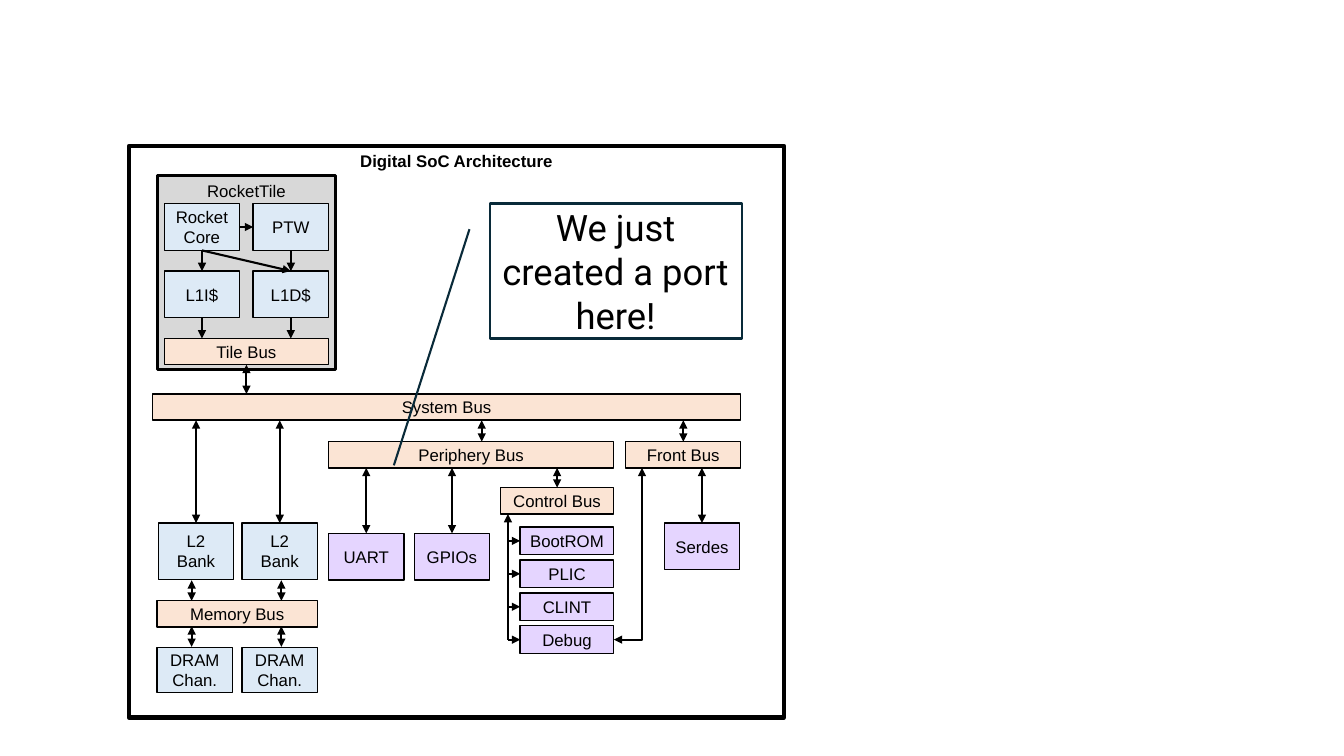
from dataclasses import dataclass

from lxml import etree
from pptx import Presentation
from pptx import util as u
from pptx.dml.color import RGBColor
from pptx.enum import shapes, text
from pptx.oxml.ns import qn


@dataclass(frozen=True)
class Theme:
    ink: str = "000000"
    navy: str = "092A39"
    grey: str = "D8D8D8"
    blue: str = "DDEAF6"
    peach: str = "FBE4D4"
    lilac: str = "E5D5FF"
    font: str = "Arial"
    note: str = "Roboto"
    small: int = 12
    large: int = 26


T = Theme()
MID, TOP = text.MSO_ANCHOR.MIDDLE, text.MSO_ANCHOR.TOP
RECT = shapes.MSO_SHAPE.RECTANGLE

deck = Presentation()
deck.slide_width, deck.slide_height = u.Cm(33.87), u.Cm(19.05)
slide = deck.slides.add_slide(deck.slide_layouts[6])


def block(words, x, y, w, h, fill=None, edge=1, ink=T.ink, kind=RECT,
          anchor=MID, font=T.font, size=T.small, bold=False):
    """Add a bordered shape with one centred paragraph per line of words."""
    box = slide.shapes.add_shape(kind, u.Cm(x), u.Cm(y), u.Cm(w), u.Cm(h))
    box.shadow.inherit = False
    if fill:
        box.fill.solid()
        box.fill.fore_color.rgb = RGBColor.from_string(fill)
    else:
        box.fill.background()
    box.line.color.rgb = RGBColor.from_string(ink)
    box.line.width = u.Pt(edge)
    frame = box.text_frame
    frame.word_wrap = True
    frame.vertical_anchor = anchor
    for i, line in enumerate(words.split("\n")):
        para = frame.add_paragraph() if i else frame.paragraphs[0]
        para.alignment = text.PP_ALIGN.CENTER
        run = para.add_run()
        run.text = line
        run.font.name, run.font.size, run.font.bold = font, u.Pt(size), bold
        run.font.color.rgb = RGBColor.from_string(T.ink)
    return box


def link(start, end, heads="tail", kind=shapes.MSO_CONNECTOR.STRAIGHT):
    """Join two ends, each an (x, y) point or a (shape, side) pair."""
    spots = [(0, 0) if hasattr(e[0], "shape_id") else e for e in (start, end)]
    wire = slide.shapes.add_connector(kind, *(u.Cm(v) for s in spots for v in s))
    if hasattr(start[0], "shape_id"):
        wire.begin_connect(*start)
    if hasattr(end[0], "shape_id"):
        wire.end_connect(*end)
    wire.line.color.rgb = RGBColor.from_string(T.ink)
    wire.line.width = u.Pt(1.5)
    line = wire.line._get_or_add_ln()
    for tag in heads.split():
        etree.SubElement(line, qn(f"a:{tag}End"), type="triangle")
    etree.SubElement(wire._element.spPr, qn("a:effectLst"))
    return wire


BOTH = "head tail"

# Outer frame and tile
block("Digital SoC Architecture", 3.25, 3.68, 16.51, 14.4, edge=3, anchor=TOP, bold=True)
block("RocketTile", 3.96, 4.42, 4.5, 4.9, T.grey, edge=2.25, anchor=TOP)

# Blocks inside the tile
core, walker, icache, dcache = [
    block(name, 4.14 + 2.24 * (i % 2), 5.13 + 1.7 * (i // 2), 1.9, 1.18, T.blue)
    for i, name in enumerate(["Rocket\nCore", "PTW", "L1I$", "L1D$"])]

# Buses
tile, system, periph, control, front, memory = [
    block(f"{name} Bus", x, y, w, 0.66, T.peach) for name, x, y, w in [
        ("Tile", 4.14, 8.53, 4.14),
        ("System", 3.84, 9.93, 14.83),
        ("Periphery", 8.28, 11.13, 7.19),
        ("Control", 12.62, 12.29, 2.84),
        ("Front", 15.77, 11.13, 2.9),
        ("Memory", 3.96, 15.14, 4.04),
    ]]

# Memory banks and channels
banks = [block("L2 Bank", x, 13.18, 1.9, 1.42, T.blue) for x in (3.99, 6.1)]
for x in (3.96, 6.1):
    block("DRAM Chan.", x, 16.31, 1.9, 1.14, T.blue)

# Peripherals and control devices
uart, gpio, serdes = [
    block(name, x, y, 1.9, 1.18, T.lilac) for name, x, y in [
        ("UART", 8.28, 13.44), ("GPIOs", 10.44, 13.44), ("Serdes", 16.74, 13.18)]]
devices = [
    block(name, 13.11, 13.28 + 0.83 * i, 2.36, 0.7, T.lilac)
    for i, name in enumerate(["BootROM", "PLIC", "CLINT", "Debug"])]

# Arrows inside the tile
link((core, 3), (walker, 1))
for a, b in [(core, icache), (walker, dcache), (core, dcache)]:
    link((a, 2), (b, 0))
for cache in (icache, dcache):
    mid = u.Emu(cache.left + cache.width // 2).cm
    link((cache, 2), (mid, 8.53))

# Two-way arrows between buses and blocks
link((tile, 2), (6.21, 9.93), BOTH)
link((12.14, 10.59), (12.14, 11.13), BOTH)
for y, parts in [(10.59, [front, *banks]), (11.79, [control, uart, gpio, serdes])]:
    for part in parts:
        mid = u.Emu(part.left + part.width // 2).cm
        link((mid, y), (part, 0), BOTH)
for x in (4.83, 7.09):
    for y in (14.62, 15.78):
        link((x, y), (x, y + 0.52), BOTH)

# Control bus trunk and its branches
link((12.8, 12.95), (12.8, 16.12), "head")
for device in devices:
    mid = u.Emu(device.top + device.height // 2).cm
    link((12.8, mid), (device, 1))

# Debug to front bus, with a single bend
bend = link((15.47, 16.12), (16.18, 11.79), BOTH, shapes.MSO_CONNECTOR.ELBOW)
bend._element.spPr.find(qn("a:prstGeom")).set("prst", "bentConnector2")

# Callout, with its three lines kept inside the border
note = block("We just created a port here!", 12.34, 5.13, 6.35, 3.4, edge=1.5,
             ink=T.navy, kind=shapes.MSO_SHAPE.LINE_CALLOUT_1,
             font=T.note, size=T.large)
note.text_frame.margin_top = note.text_frame.margin_bottom = u.Cm(0)
for i, value in enumerate([0.19, -0.08, 1.94, -0.38]):
    note.adjustments[i] = value

deck.save("out.pptx")
